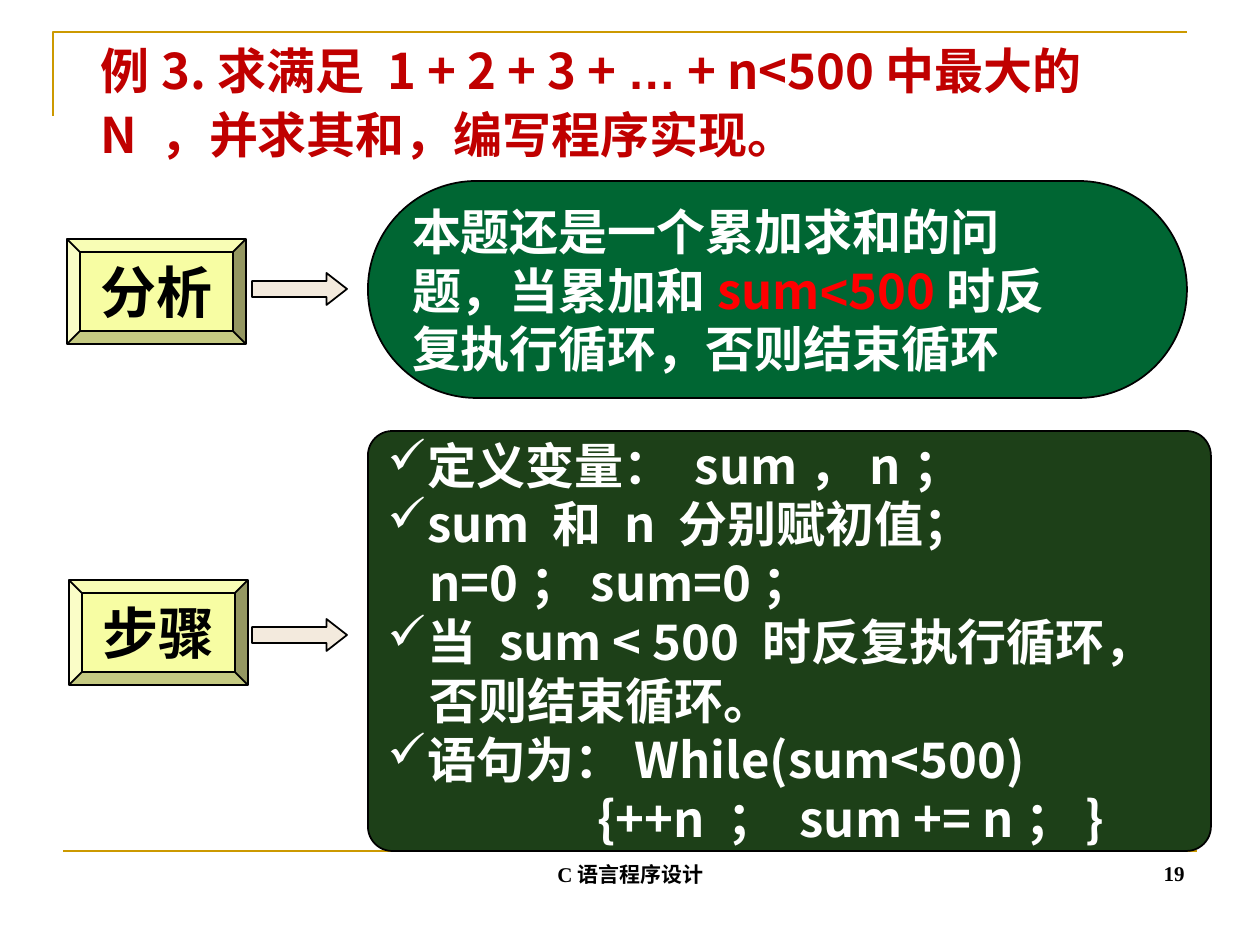
from lxml import etree
from pptx import Presentation, util as u
from pptx.dml.color import RGBColor
from pptx.enum import shapes, text
from pptx.oxml.ns import qn

SCALE = 914400 / 126  # EMU per px
SANS, SONG, ARIAL, ROMAN = ("Noto Sans CJK JP", "Noto Sans CJK SC",
                            "Arial", "Times New Roman")
HEX = {"gold": "CC9900", "title": "C00000", "black": "000000",
       "white": "FFFFFF", "red": "FF0000", "label": "F7FDA3",
       "green": "006633", "dark": "1D4018", "arrow": "F3EADD"}
KIND = shapes.MSO_SHAPE
ALIGN, ANCHOR = text.PP_ALIGN, text.MSO_ANCHOR


def emu(px):
    return u.Emu(round(px * SCALE))


def color(name):
    return RGBColor.from_string(HEX[name])


def put(item, **vals):
    for key, val in vals.items():
        setattr(item, key, val)


def stroke(item, name, width):
    item.line.color.rgb = color(name)
    item.line.width = u.Pt(width)


def add_run(para, words, size, name, latin, asian=SANS):
    run = para.add_run()
    run.text = words
    put(run.font, size=u.Pt(size), bold=True, name=latin)
    run.font.color.rgb = color(name)
    etree.SubElement(run.font._element, qn("a:ea"), typeface=asian)


def indent(para, left, mark=None):
    """Set a left margin in px, with a hanging bullet if a mark is given."""
    props = para._p.get_or_add_pPr()
    props.set("marL", str(emu(left)))
    props.set("indent", str(-emu(left) if mark else 0))
    if mark:
        tint = etree.SubElement(props, qn("a:buClr"))
        etree.SubElement(tint, qn("a:srgbClr"), val=HEX["white"])
        etree.SubElement(props, qn("a:buChar"), char=mark)


def add_box(slide, kind, box, fill, adjust):
    shape = slide.shapes.add_shape(kind, *map(emu, box))
    shape.shadow.inherit = False
    shape.fill.solid()
    shape.fill.fore_color.rgb = color(fill)
    stroke(shape, "black", 1)
    for i, val in enumerate(adjust):
        shape.adjustments[i] = val
    put(shape.text_frame, vertical_anchor=ANCHOR.MIDDLE, word_wrap=True)
    return shape


def add_label(slide, box, words):
    frame = add_box(slide, KIND.BEVEL, box, "label", [0.125]).text_frame
    frame.word_wrap = False
    para = frame.paragraphs[0]
    para.alignment = ALIGN.CENTER
    add_run(para, words, 32, "black", SANS)


def add_panel(slide, box, fill, round_by, rows):
    """Each row is (indent, bullet, [(words, colour, font), ...])."""
    frame = add_box(slide, KIND.ROUNDED_RECTANGLE, box, fill,
                    [round_by]).text_frame
    for i, (left, mark, runs) in enumerate(rows):
        para = frame.add_paragraph() if i else frame.paragraphs[0]
        para.alignment = ALIGN.LEFT
        indent(para, left, mark)
        for words, name, font in runs:
            add_run(para, words, 28, name, font)


def add_note(slide, box, words, align):
    frame = slide.shapes.add_textbox(*map(emu, box)).text_frame
    put(frame, word_wrap=True, vertical_anchor=ANCHOR.BOTTOM)
    para = frame.paragraphs[0]
    para.alignment = align
    add_run(para, words, 12, "black", ROMAN)


def add_frame(slide):
    path = slide.shapes.build_freeform(53, 116, scale=SCALE)
    path.add_line_segments([(53, 32), (1187, 32)], close=False)
    corner = path.convert_to_shape()
    corner.shadow.inherit = False
    corner.fill.background()
    stroke(corner, "gold", 1.5)
    rule = slide.shapes.add_connector(
        shapes.MSO_CONNECTOR.STRAIGHT, *map(emu, (63, 851, 1197, 851)))
    stroke(rule, "gold", 1.5)
    etree.SubElement(rule._element.spPr, qn("a:effectLst"))


def set_title(slide, box, runs):
    title = slide.shapes.title
    put(title, **dict(zip(("left", "top", "width", "height"),
                          map(emu, box))))
    put(title.text_frame, vertical_anchor=ANCHOR.MIDDLE, word_wrap=True,
        auto_size=text.MSO_AUTO_SIZE.NONE)
    para = title.text_frame.paragraphs[0]
    put(para, alignment=ALIGN.LEFT, line_spacing=1.1)
    for words, font in runs:
        add_run(para, words, 28, "title", font, SONG)


def main():
    deck = Presentation()
    put(deck, slide_width=emu(1260), slide_height=emu(945))
    slide = deck.slides.add_slide(deck.slide_layouts[5])

    # Frame lines, footer and title
    add_frame(slide)
    add_note(slide, (431, 830, 399, 63), "C语言程序设计", ALIGN.CENTER)
    add_note(slide, (903, 829, 294, 63), "19", ALIGN.RIGHT)
    set_title(slide, (88, 20, 1134, 158), [
        ("例3.求满足 1 + 2 + 3 + ", SONG), ("…", ARIAL),
        (" + n<500中最大的 N ，并求其和，编写程序实现。", SONG)])

    # Analysis
    add_panel(slide, (368, 181, 819, 217), "green", 0.5, [
        (0, None, [("本题还是一个累加求和的问", "white", SANS)]),
        (0, None, [("题，当累加和", "white", SANS), ("sum", "red", SANS),
                   ("<", "red", ARIAL), ("500", "red", SANS),
                   ("时反", "white", SANS)]),
        (0, None, [("复执行循环，否则结束循环", "white", SANS)])])

    # Steps
    steps = [(40, "✓", "定义变量： sum，n；"),
             (40, "✓", "sum 和 n 分别赋初值；"),
             (42, None, "n=0；sum=0；"),
             (40, "✓", "当 sum < 500 时反复执行循环，"),
             (42, None, "否则结束循环。"),
             (40, "✓", "语句为：While(sum<500)"),
             (210, None, "{++n ； sum += n；}")]
    add_panel(slide, (368, 431, 843, 420), "dark", 0.058,
              [(left, mark, [(words, "white", SANS)])
               for left, mark, words in steps])

    # Labels with their arrows
    for left, top, words, mid in ((67, 239, "分析", 289),
                                  (69, 580, "步骤", 635)):
        add_label(slide, (left, top, 179, 105), words)
        add_box(slide, KIND.RIGHT_ARROW, (252, mid - 16, 95, 32),
                "arrow", [0.5, 0.641])

    deck.save("out.pptx")


if __name__ == "__main__":
    main()
